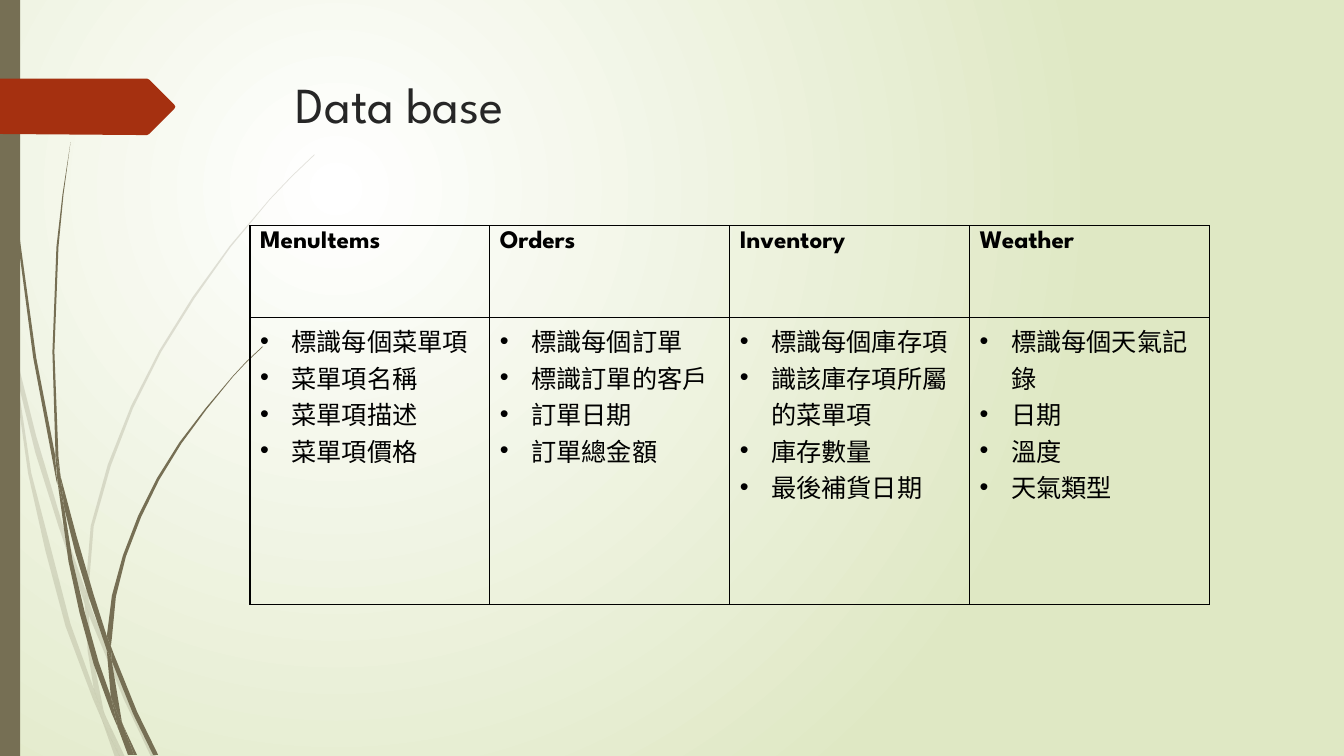
from lxml import etree
from pptx import Presentation
from pptx import util as u
from pptx.dml.color import RGBColor
from pptx.enum import shapes, text
from pptx.oxml import ns

OLIVE = RGBColor(0x76, 0x6F, 0x54)
RUST = RGBColor(0xA5, 0x30, 0x10)
INK = RGBColor(0x26, 0x26, 0x26)
BLACK = RGBColor(0, 0, 0)
WHITE = RGBColor(255, 255, 255)
LIME = RGBColor(0xDF, 0xE8, 0xC4)

UNIT = u.Cm(2.54) / 100  # outline points are hundredths of an inch

# Grass outlines: pale blades behind, solid blades in front
PALE = [
    [(11, 350), (9, 322), (0, 282), (0, 299), (10, 344)],
    [(58, 522), (84, 599), (85, 586), (62, 520), (36, 433), (14, 345), (17, 376), (35, 449)],
    [(92, 607), (88, 596), (88, 610), (123, 694), (150, 751), (155, 751), (127, 692)],
    [(119, 751), (124, 751), (105, 711)],
    [(93, 683), (70, 619), (31, 469), (17, 376), (11, 350), (28, 470), (45, 546), (65, 621),
     (92, 693), (101, 714), (99, 707)],
    [(84, 599), (87, 646), (93, 683), (96, 692), (105, 711), (103, 706), (91, 646), (88, 610),
     (88, 608)],
    [(88, 584), (93, 522), (110, 462), (132, 405), (160, 349), (193, 296), (229, 245),
     (268, 198), (290, 175), (312, 154), (312, 153), (289, 175), (268, 197), (228, 244),
     (191, 295), (158, 348), (130, 403), (107, 461), (90, 522), (85, 584), (85, 586), (88, 596)],
    [(101, 714), (114, 751), (119, 751)],
    [(88, 608), (88, 610), (88, 596), (85, 586), (84, 599)],
    [(96, 692), (93, 683), (99, 707), (101, 714), (119, 751), (105, 711)],
]
SOLID = [
    [(7, 110), (17, 233), (33, 355), (56, 477), (57, 481), (55, 457), (55, 453), (36, 355),
     (19, 232), (8, 109), (5, 48), (4, 0), (3, 0), (4, 48)],
    [(88, 592), (106, 645), (106, 633), (106, 631), (93, 590), (76, 532), (60, 472), (64, 505),
     (75, 549)],
    [(113, 649), (110, 641), (111, 656), (132, 708), (152, 749), (157, 749), (136, 706)],
    [(110, 691), (98, 657), (84, 607), (72, 556), (64, 505), (57, 477), (68, 557), (79, 608),
     (93, 659), (111, 708), (117, 722), (116, 717)],
    [(60, 472), (58, 453), (54, 349), (58, 245), (63, 193), (70, 141), (62, 193), (56, 245),
     (52, 349), (55, 449)],
    [(133, 749), (136, 749), (122, 719)],
    [(57, 477), (64, 505), (60, 472), (55, 449), (55, 453)],
    [(111, 633), (115, 592), (125, 552), (140, 513), (158, 476), (180, 440), (205, 406),
     (231, 374), (245, 359), (261, 344), (260, 344), (245, 358), (231, 373), (204, 405),
     (178, 439), (156, 474), (137, 512), (122, 551), (111, 591), (106, 631), (110, 641)],
    [(117, 722), (127, 749), (131, 749)],
    [(106, 645), (110, 691), (116, 706), (122, 719), (121, 716), (111, 656), (109, 651)],
    [(106, 645), (109, 651), (111, 656), (110, 641), (106, 631), (106, 633)],
    [(116, 706), (110, 691), (116, 717), (117, 722), (130, 749), (133, 749), (122, 719)],
]
ARROW = [(173, 108), (148, 133), (146, 134), (136, 134), (0, 133), (0, 78), (146, 78),
         (148, 79), (173, 104), (174, 106)]

TABLES = {
    "MenuItems": ["標識每個菜單項", "菜單項名稱", "菜單項描述", "菜單項價格"],
    "Orders": ["標識每個訂單", "標識訂單的客戶", "訂單日期", "訂單總金額"],
    "Inventory": ["標識每個庫存項", "識該庫存項所屬的菜單項", "庫存數量", "最後補貨日期"],
    "Weather": ["標識每個天氣記錄", "日期", "溫度", "天氣類型"],
}


def put(node, tag, **attrs):
    return etree.SubElement(node, ns.qn(tag), attrs)


class Deck:
    face = "League Spartan"

    def __init__(self):
        self.prs = Presentation()
        self.prs.slide_width, self.prs.slide_height = u.Cm(33.87), u.Cm(19.05)
        self.slide = self.prs.slides.add_slide(self.prs.slide_layouts[6])

    def glow(self, inner, outer):
        fill = self.slide.background.fill
        fill.gradient()
        for stop, color in zip(fill.gradient_stops, (inner, outer)):
            stop.color.rgb = color
        grad = self.slide.element.find(".//" + ns.qn("a:gradFill"))
        grad.remove(grad.find(ns.qn("a:lin")))
        ring = put(grad, "a:path", path="circle")
        put(ring, "a:fillToRect", l="50000", t="50000", r="100000", b="100000")

    def paint(self, shape, color, alpha=None):
        shape.shadow.inherit = False
        shape.fill.solid()
        shape.fill.fore_color.rgb = color
        shape.line.fill.background()
        if alpha:
            tone = shape.element.spPr.find(".//" + ns.qn("a:srgbClr"))
            put(tone, "a:alpha", val=str(alpha * 1000))

    def outline(self, points, color, alpha=None, group=None):
        home = (group or self.slide).shapes
        pen = home.build_freeform(*points[0], scale=UNIT)
        pen.add_line_segments(points[1:], close=True)
        self.paint(pen.convert_to_shape(), color, alpha)

    def grass(self, blades, alpha=None):
        group = self.slide.shapes.add_group_shape()
        for blade in blades:
            self.outline(blade, OLIVE, alpha, group)

    def bar(self, x, y, w, h, color):
        box = map(u.Cm, (x, y, w, h))
        self.paint(self.slide.shapes.add_shape(shapes.MSO_SHAPE.RECTANGLE, *box), color)

    def label(self, para, words, size, color, bold=False):
        run = para.add_run()
        run.text = words
        look = {"name": self.face, "size": u.Pt(size), "bold": bold}
        for key, value in look.items():
            setattr(run.font, key, value)
        run.font.color.rgb = color

    def title(self, words, x, y, w, h):
        frame = self.slide.shapes.add_textbox(*map(u.Cm, (x, y, w, h))).text_frame
        look = {"word_wrap": True, "vertical_anchor": text.MSO_ANCHOR.TOP}
        for key, value in look.items():
            setattr(frame, key, value)
        self.label(frame.paragraphs[0], words, 36, INK)

    def cell(self, cell, lines, head):
        props = cell._tc.get_or_add_tcPr()
        for side in "LRTB":
            edge = put(props, "a:ln" + side, w=str(u.Pt(1)))
            put(put(edge, "a:solidFill"), "a:srgbClr", val=str(BLACK))
        cell.fill.background()
        frame = cell.text_frame
        for i, line in enumerate(lines):
            para = frame.add_paragraph() if i else frame.paragraphs[0]
            self.label(para, line, 18, BLACK, head)
            if not head:
                form = para._p.get_or_add_pPr()
                dent = u.Cm(0.79)
                form.set("marL", str(dent))
                form.set("indent", str(-dent))
                put(form, "a:buFont", typeface="Arial")
                put(form, "a:buChar", char="•")

    def table(self, data, x, y, w, rows):
        box = map(u.Cm, (x, y, w, sum(rows)))
        grid = self.slide.shapes.add_table(len(rows), len(data), *box).table
        grid.first_row = grid.horz_banding = False
        for row, tall in zip(grid.rows, rows):
            row.height = u.Cm(tall)
        for col, (name, items) in enumerate(data.items()):
            grid.columns[col].width = u.Cm(w / len(data))
            self.cell(grid.cell(0, col), [name], True)
            self.cell(grid.cell(1, col), items, False)


def main():
    deck = Deck()
    # Backdrop
    deck.glow(WHITE, LIME)
    deck.grass(PALE, 20)
    deck.grass(SOLID)
    deck.bar(0, 0, 0.51, 19.05, OLIVE)
    deck.outline(ARROW, RUST)
    # Content
    deck.title("Data base", 7.21, 1.73, 24.77, 3.56)
    deck.table(TABLES, 6.3, 5.69, 24.18, (2.31, 7.24))
    deck.prs.save("out.pptx")


if __name__ == "__main__":
    main()
